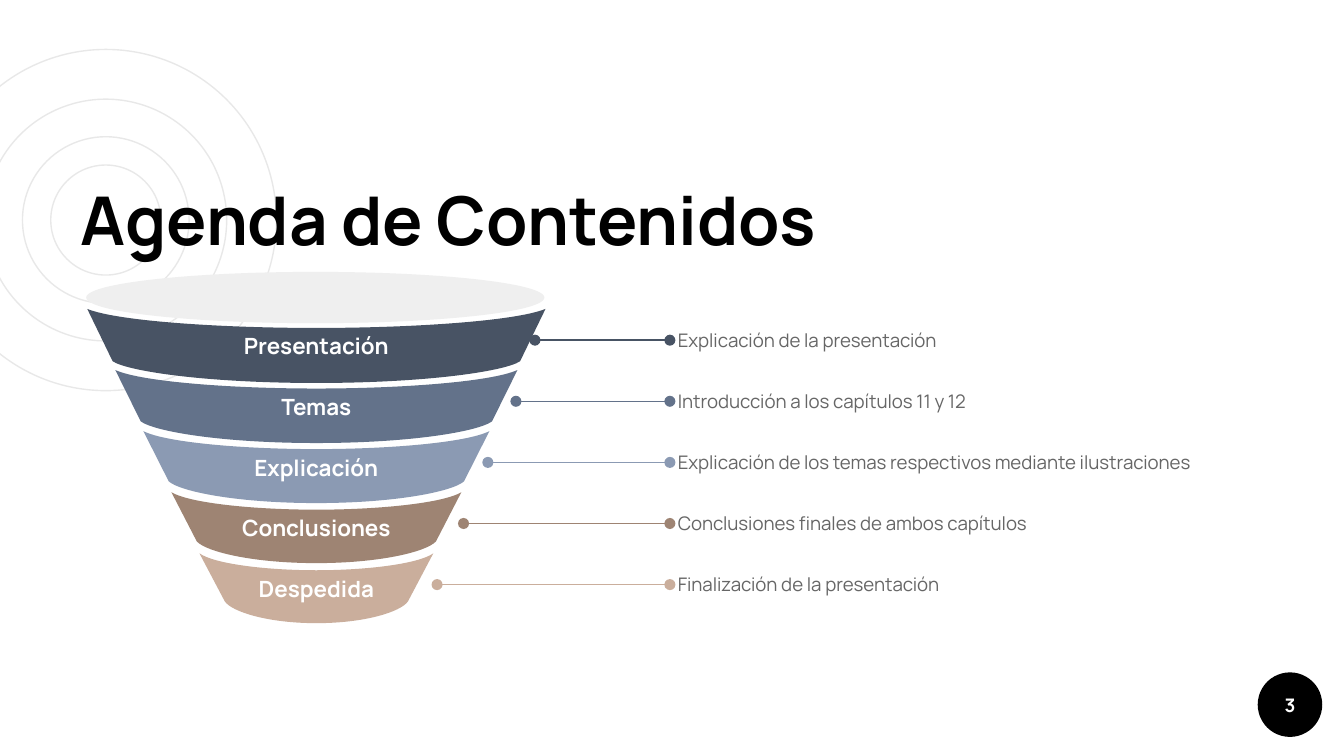
from lxml import etree
from pptx import Presentation
from pptx.dml.color import RGBColor
from pptx.enum.shapes import MSO_CONNECTOR, MSO_SHAPE
from pptx.enum.text import MSO_ANCHOR, PP_ALIGN
from pptx.oxml.ns import qn
from pptx.util import Cm, Pt

OVAL = MSO_SHAPE.OVAL
LINE = MSO_CONNECTOR.STRAIGHT
MID, LOW = MSO_ANCHOR.MIDDLE, MSO_ANCHOR.BOTTOM
LEFT, CENTER = PP_ALIGN.LEFT, PP_ALIGN.CENTER
BLACK = RGBColor(0x00, 0x00, 0x00)
WHITE = RGBColor(0xFF, 0xFF, 0xFF)
GREY = RGBColor(0x66, 0x66, 0x66)
RING = RGBColor(0xE8, 0xE8, 0xE8)
RIM = RGBColor(0xEF, 0xEF, 0xEF)
NAVY = RGBColor(0x48, 0x53, 0x64)
SLATE = RGBColor(0x63, 0x72, 0x8A)
BLUE = RGBColor(0x8B, 0x9A, 0xB3)
BROWN = RGBColor(0x9E, 0x84, 0x73)
SAND = RGBColor(0xCA, 0xAE, 0x9C)


def write(shape, text, size=10, color=GREY, bold=False, align=LEFT,
          anchor=MID, pad=(0, 0)):
    frame = shape.text_frame
    frame.word_wrap = True
    frame.vertical_anchor = anchor
    frame.margin_left = frame.margin_right = Cm(pad[0])
    frame.margin_top = frame.margin_bottom = Cm(pad[1])
    para = frame.paragraphs[0]
    para.alignment = align
    run = para.add_run()
    run.text = text
    run.font.name = "Manrope"
    run.font.size = Pt(size)
    run.font.bold = bold
    run.font.color.rgb = color


def paint(shape, color):
    shape.shadow.inherit = False
    shape.fill.solid()
    shape.fill.fore_color.rgb = color
    shape.line.fill.background()


deck = Presentation()
deck.slide_width, deck.slide_height = Cm(25.4), Cm(14.29)
slide = deck.slides.add_slide(deck.slide_layouts[5])
shapes = slide.shapes

for size in (6.45, 3.15, 4.57, 2.08):
    ring = shapes.add_shape(OVAL, Cm(2 - size / 2), Cm(4.16 - size / 2),
                            Cm(size), Cm(size))
    ring.shadow.inherit = False
    ring.fill.background()
    ring.line.color.rgb = RING
    ring.line.width = Pt(0.75)

spot = Cm(23.77), Cm(12.71), Cm(1.22), Cm(1.22)
badge = shapes.add_shape(OVAL, *spot)
paint(badge, BLACK)

title = shapes.title
title.element.getparent().append(title.element)
title.left, title.top, title.width, title.height = Cm(1.27), Cm(3.24), Cm(17), Cm(1.9)
write(title, "Agenda de Contenidos", size=36, color=BLACK, bold=True,
      anchor=LOW, pad=(0.25, 0.25))

number = shapes.add_textbox(*spot)
write(number, "3", color=WHITE, bold=True, align=CENTER, pad=(0.25, 0.25))

rows = [
    ("Presentación", NAVY, 10.11, 6.71, "Explicación de la presentación"),
    ("Temas", SLATE, 9.75, 6.71, "Introducción a los capítulos 11 y 12"),
    ("Explicación", BLUE, 9.22, 12.17,
     "Explicación de los temas respectivos mediante ilustraciones"),
    ("Conclusiones", BROWN, 8.76, 9.35, "Conclusiones finales de ambos capítulos"),
    ("Despedida", SAND, 8.26, 6.71, "Finalización de la presentación"),
]
axis, edge = 5.98, 12.66
gap = 4.62 / 4

for i, (name, color, start, width, note) in enumerate(rows):
    top = 5.84 + gap * i
    half = 4.33 - 0.53 * i
    foot = half - 0.48
    sag = 0.36 - 0.01 * i
    base = top + 0.99 - 0.02 * i
    deep = top + 1.4 - 0.02 * i
    bend = base + (deep - base) * 0.48
    right = [(0, top + sag), (half * 0.42, top + sag),
             (half * 0.87, top + sag * 0.64), (half, top),
             (foot, base), (foot, base), (foot, base),
             (foot * 0.92, bend), (foot * 0.53, deep), (0, deep)]
    ends = right + [(-x, y) for x, y in right[-2::-1]]
    ends[12:15] = [(-foot, base), (-half, top), (-half, top)]
    spots = [(Cm(axis + x), Cm(y)) for x, y in ends]
    pen = shapes.build_freeform(*spots[0])
    pen.add_line_segments(spots[1:], close=False)
    band = pen.convert_to_shape()
    legs = list(band.element.iter(qn("a:lnTo")))
    trail = legs[0].getparent()
    for n in range(0, len(legs), 3):
        arc = etree.SubElement(trail, qn("a:cubicBezTo"))
        for leg in legs[n:n + 3]:
            arc.append(leg[0])
            trail.remove(leg)
    etree.SubElement(trail, qn("a:close"))
    paint(band, color)
    write(band, name, size=12, color=WHITE, bold=True, align=CENTER, pad=(0.18, 0.1))

rim = shapes.add_shape(OVAL, Cm(1.63), Cm(5.14), Cm(8.66), Cm(0.97))
paint(rim, RIM)

for i, (name, color, start, width, note) in enumerate(rows):
    level = 6.43 + gap * i
    link = shapes.add_connector(LINE, Cm(start), Cm(level), Cm(edge), Cm(level))
    link.line.color.rgb = color
    link.line.width = Pt(0.75)
    for tag in ("a:headEnd", "a:tailEnd"):
        etree.SubElement(link.element.spPr.find(qn("a:ln")), qn(tag), type="oval")
    etree.SubElement(link.element.spPr, qn("a:effectLst"))

    box = shapes.add_textbox(Cm(12.81), Cm(level - 0.42), Cm(width), Cm(0.84))
    write(box, note)

deck.save("out.pptx")
